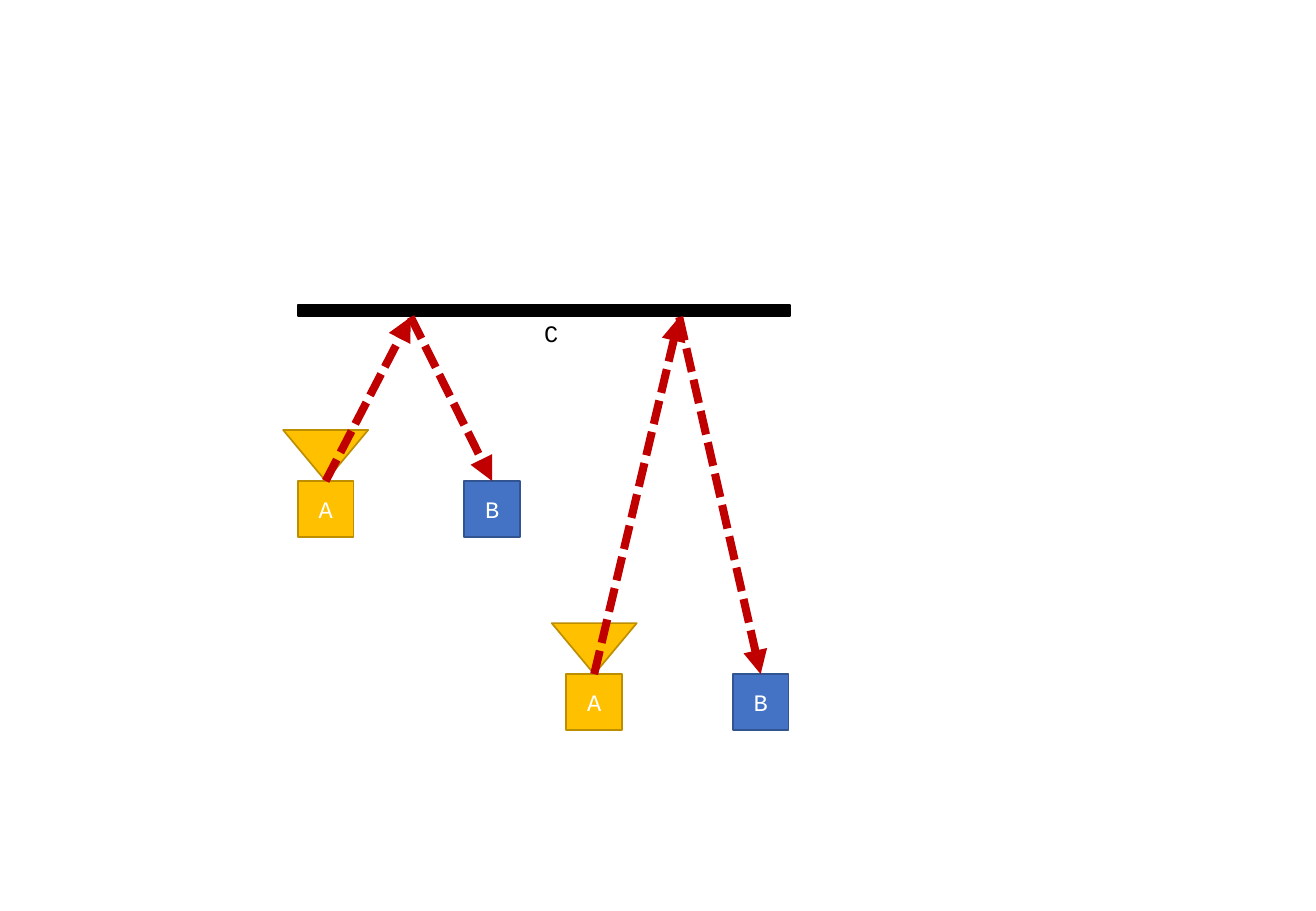
import pptx
import pptx.util
import pptx.dml.color
import pptx.enum.dml
import pptx.enum.shapes
import pptx.enum.text
import pptx.oxml

Inches = pptx.util.Inches
Pt = pptx.util.Pt
Kind = pptx.enum.shapes.MSO_SHAPE
Align = pptx.enum.text.PP_ALIGN
Anchor = pptx.enum.text.MSO_ANCHOR
NS = 'xmlns:a="http://schemas.openxmlformats.org/drawingml/2006/main"'


def color(code):
    return pptx.dml.color.RGBColor.from_string(code)


def write(shape, text, ink="FFFFFF", size=14, align=Align.CENTER,
          anchor=Anchor.MIDDLE, wrap=True):
    frame = shape.text_frame
    frame.word_wrap = wrap
    frame.vertical_anchor = anchor
    para = frame.paragraphs[0]
    para.text = text
    para.alignment = align
    para.font.name = "Courier New"
    para.font.size = Pt(size)
    para.font.color.rgb = color(ink)


deck = pptx.Presentation()
deck.slide_width = Inches(10.83)
deck.slide_height = Inches(7.5)
slide = deck.slides.add_slide(deck.slide_layouts[6])
shapes = slide.shapes

# Wall, then the sender and receiver of each pair
wall_low = 2.61
side = 0.46
gap = 1.37
horn_w, horn_h = 0.7, 0.42
pairs = [(2.45, 3.96), (4.66, 5.55)]

parts = [(Kind.RECTANGLE, 2.45, 2.51, 4.05, 0.09, "000000", "000000", "")]
for left, top in pairs:
    parts += [
        (Kind.RECTANGLE, left, top, side, side, "FFC000", "BD8E00", "A"),
        (Kind.RECTANGLE, left + gap, top, side, side, "4472C4", "325491", "B"),
        (Kind.ISOSCELES_TRIANGLE, left + (side - horn_w) / 2, top - horn_h,
         horn_w, horn_h, "FFC000", "BD8E00", ""),
    ]

for kind, left, top, width, height, fill, edge, label in parts:
    shape = shapes.add_shape(kind, Inches(left), Inches(top),
                             Inches(width), Inches(height))
    shape.shadow.inherit = False
    shape.fill.solid()
    shape.fill.fore_color.rgb = color(fill)
    shape.line.color.rgb = color(edge)
    shape.line.width = Pt(1)
    if kind == Kind.ISOSCELES_TRIANGLE:
        shape.rotation = 180
    if label:
        write(shape, label)

# Dashed arrows: up to the wall and back down
for left, top in pairs:
    start = left + side / 2
    bounce = start + 0.7
    for x1, y1, x2, y2 in [(start, top, bounce, wall_low),
                           (bounce, wall_low, start + gap, top)]:
        ray = shapes.add_connector(
            pptx.enum.shapes.MSO_CONNECTOR.STRAIGHT,
            Inches(x1), Inches(y1), Inches(x2), Inches(y2))
        ray.line.color.rgb = color("C00000")
        ray.line.width = Pt(4.75)
        ray.line.dash_style = pptx.enum.dml.MSO_LINE.SQUARE_DOT
        props = ray.element.spPr
        ray.line._get_or_add_ln().append(
            pptx.oxml.parse_xml(f'<a:tailEnd {NS} type="triangle"/>'))
        props.append(pptx.oxml.parse_xml(f'<a:effectLst {NS}/>'))
        # Short dashes
        props.find(".//{*}prstDash").set("val", "sysDash")

# Wall label
box = shapes.add_textbox(Inches(4.38), Inches(2.58), Inches(0.31), Inches(0.34))
write(box, "C", ink="000000", align=Align.LEFT, anchor=Anchor.TOP, wrap=False)

deck.save("out.pptx")
